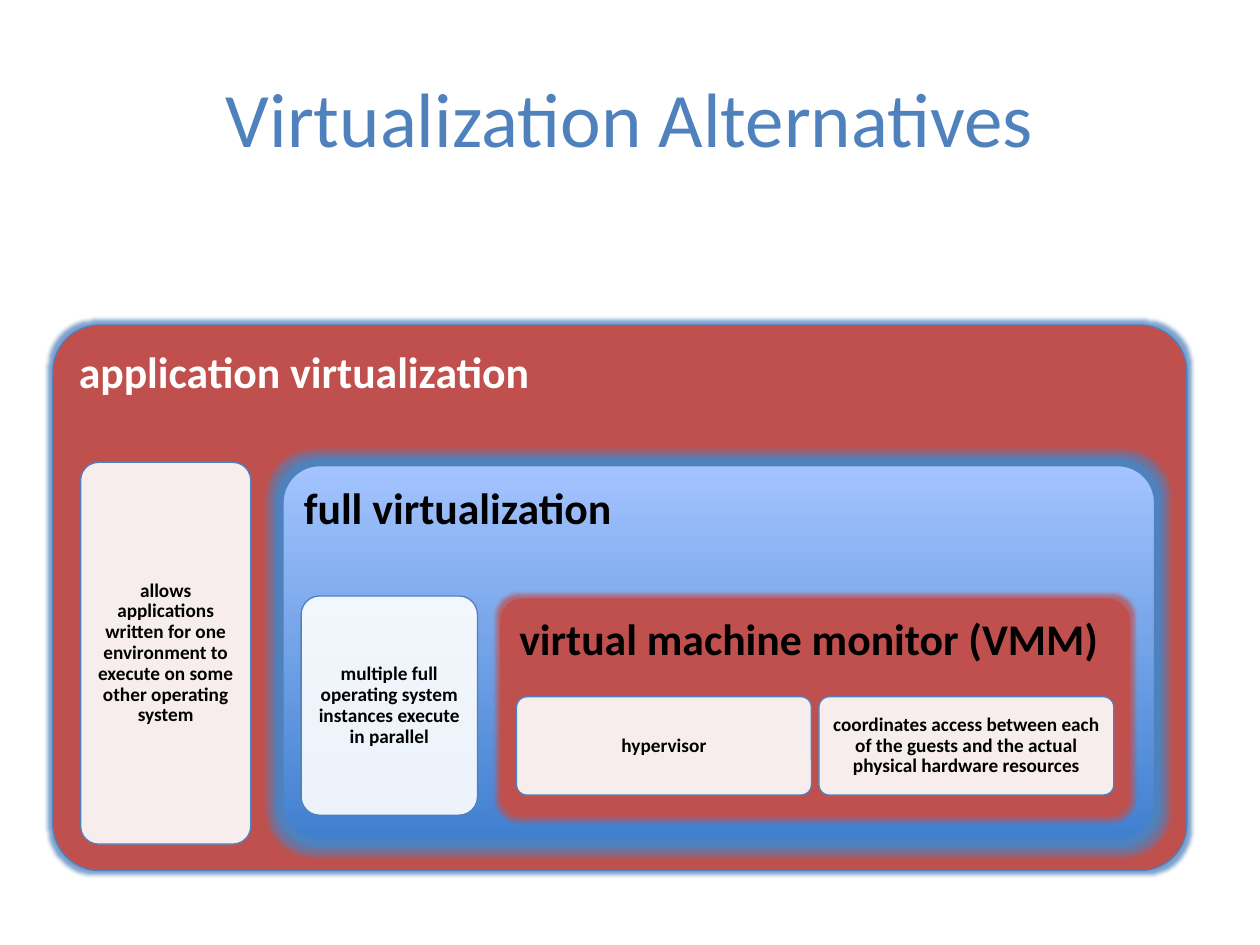
from lxml.etree import SubElement as Sub
from pptx import Presentation as Deck
from pptx.dml.color import RGBColor as Rgb
from pptx.enum.shapes import MSO_SHAPE as Kind
from pptx.enum.text import MSO_ANCHOR as Anchor, PP_ALIGN as Align
from pptx.oxml.ns import qn
from pptx.util import Inches, Pt

WIDE, HIGH = 10, 7.5
HUES = {
    "blue": "4F81BD",
    "red": "C0504D",
    "deep": "3F7FCE",
    "pale": "A4C4FF",
    "white": "FFFFFF",
    "black": "000000",
}


def hue(name):
    return Rgb.from_string(HUES[name])


def place(left, top, width, height):
    return (
        Inches(WIDE * left / 100),
        Inches(HIGH * top / 100),
        Inches(WIDE * width / 100),
        Inches(HIGH * height / 100),
    )


def write(shape, text, size, color, align, anchor, pad, bold=True, gap=0.9):
    frame = shape.text_frame
    frame.word_wrap = True
    frame.vertical_anchor = anchor
    frame.margin_left = frame.margin_right = Inches(pad)
    frame.margin_top = frame.margin_bottom = Inches(pad)
    para = frame.paragraphs[0]
    para.alignment = align
    para.line_spacing = gap
    run = para.add_run()
    run.text = text
    run.font.name = "Calibri"
    run.font.size = Pt(size)
    run.font.bold = bold
    run.font.color.rgb = hue(color)


def add_box(slide, spot, round_by, line):
    box = slide.shapes.add_shape(Kind.ROUNDED_RECTANGLE, *place(*spot))
    box.adjustments[0] = round_by
    box.shadow.inherit = False
    if line:
        box.line.color.rgb = hue("blue")
        box.line.width = Pt(line)
    else:
        box.line.fill.background()
    return box


def add_glow(box, color, size, alpha):
    effects = box._element.spPr.find(qn("a:effectLst"))
    glow = Sub(effects, qn("a:glow"), rad=str(Pt(size)))
    tint = Sub(glow, qn("a:srgbClr"), val=HUES[color])
    Sub(tint, qn("a:alpha"), val=str(alpha * 1000))


def add_level(slide, spot, text, fill, ink, glow, round_by=0.105, line=0):
    box = add_box(slide, spot, round_by, line)
    if len(fill) == 1:
        box.fill.solid()
        box.fill.fore_color.rgb = hue(fill[0])
    else:
        box.fill.gradient()
        box.fill.gradient_angle = 90
        for stop, name in zip(box.fill.gradient_stops, fill):
            stop.color.rgb = hue(name)
    add_glow(box, *glow)
    write(box, text, 25, ink, Align.LEFT, Anchor.TOP, 0.1)


def add_note(slide, spot, text):
    box = add_box(slide, spot, 0.105, 0.75)
    box.fill.solid()
    box.fill.fore_color.rgb = hue("white")
    tint = box._element.spPr.find(qn("a:solidFill"))[0]
    Sub(tint, qn("a:alpha"), val="90000")
    write(box, text, 11, "black", Align.CENTER, Anchor.MIDDLE, 0.05)


def add_title(slide, text):
    box = slide.shapes.add_textbox(*place(5, 4, 90, 16.67))
    write(box, text, 44, "blue", Align.CENTER, Anchor.MIDDLE, 0.05, False, 1)


def main():
    deck = Deck()
    deck.slide_width, deck.slide_height = Inches(WIDE), Inches(HIGH)
    slide = deck.slides.add_slide(deck.slide_layouts[6])
    add_title(slide, "Virtualization Alternatives")

    add_level(slide, (4.2, 34.4, 90, 57.73), "application virtualization",
              ["red"], "white", ("blue", 5, 75), 0.085, 0.75)
    add_note(slide, (6.4, 48.93, 13.5, 40.4),
             "allows applications written for one environment to execute "
             "on some other operating system")

    add_level(slide, (22.2, 48.93, 69.7, 40.4), "full virtualization",
              ["deep", "pale"], "black", ("blue", 8, 75), line=4.5)
    add_note(slide, (23.9, 63.07, 14, 23.2),
             "multiple full operating system instances execute in parallel")

    add_level(slide, (39.7, 63.33, 50, 23.07), "virtual machine monitor (VMM)",
              ["red"], "black", ("red", 5, 75))
    notes = [
        "hypervisor",
        "coordinates access between each of the guests and the actual "
        "physical hardware resources",
    ]
    for col, text in enumerate(notes):
        add_note(slide, (41 + 24 * col, 73.73, 23.4, 10.4), text)

    deck.save("out.pptx")


if __name__ == "__main__":
    main()
